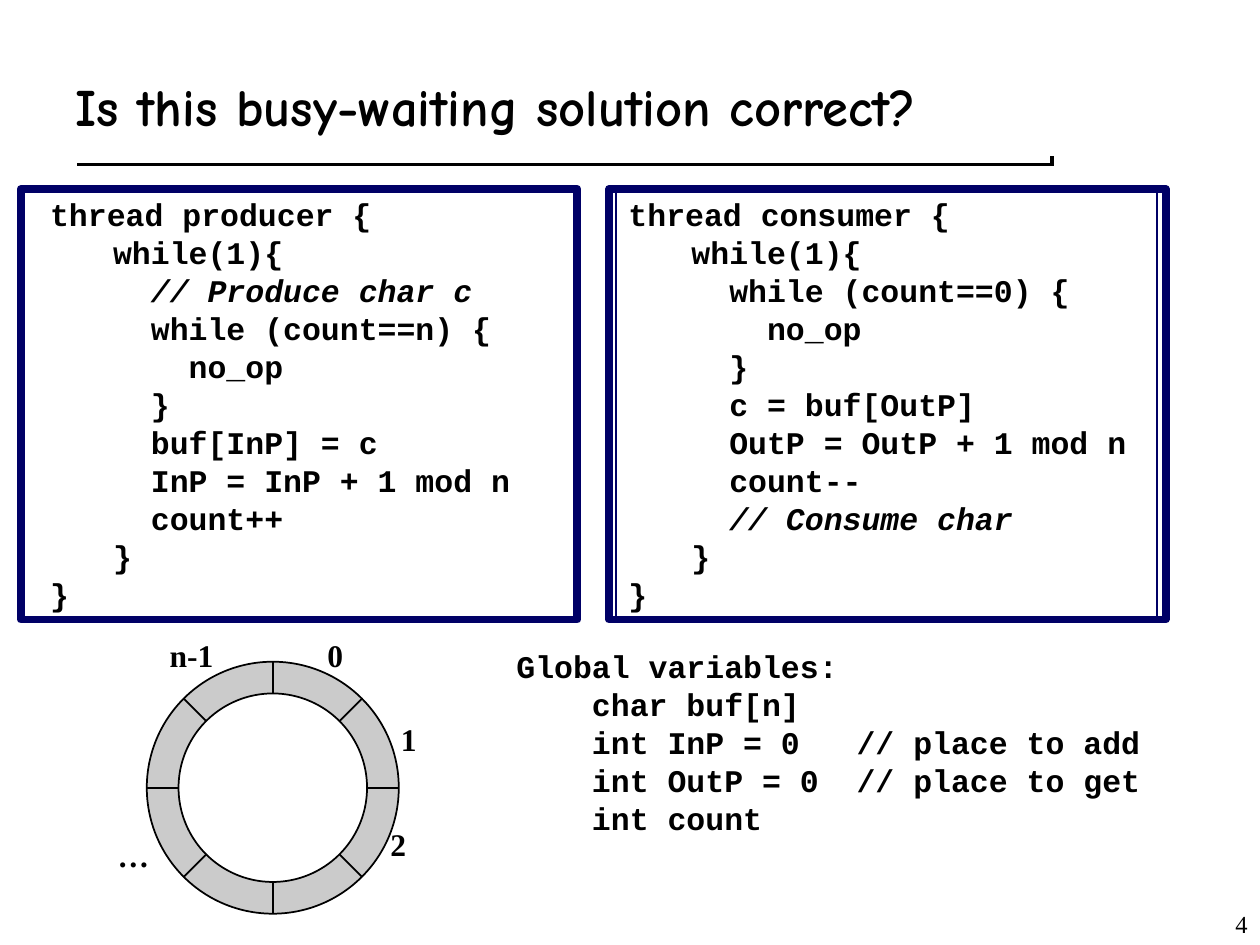
import math

from lxml import etree
from pptx import Presentation
from pptx import util as u
from pptx.dml.color import RGBColor
from pptx.enum import shapes, text
from pptx.oxml.ns import qn

COLORS = {"ink": "000000", "paper": "FFFFFF", "frame": "000066", "ring": "CBCBCB"}
CODE_FONT, LABEL_FONT, TITLE_FONT = "Courier New", "Times New Roman", "Comic Neue"

TITLE = "Is this busy-waiting solution correct?"
PAGE = "4"
PRODUCER = [
    "thread producer {",
    "while(1){",
    "  // Produce char c",
    "  while (count==n) {",
    "    no_op",
    "  }",
    "  buf[InP] = c",
    "  InP = InP + 1 mod n",
    "  count++",
    "}",
    "}",
]
CONSUMER = [
    "thread consumer {",
    "while(1){",
    "  while (count==0) {",
    "    no_op",
    "  }",
    "  c = buf[OutP]",
    "  OutP = OutP + 1 mod n",
    "  count--",
    "  // Consume char",
    "}",
    "}",
]
GLOBALS = [
    "Global variables:",
    "    char buf[n]",
    "    int InP = 0   // place to add",
    "    int OutP = 0  // place to get",
    "    int count",
]
# Slot label, left and top in cm
SLOT_LABELS = [
    ("0", 6.35, 12.7),
    ("1", 7.83, 14.39),
    ("2", 7.62, 16.51),
    ("n-1", 3.17, 12.7),
    ("…", 2.12, 16.72),
]
# Header rule, drawn as a black line partly covered by a white one: left, y, colour
HEADER_RULES = [(1.55, 3.25, "ink"), (1.47, 3.18, "paper")]
RULE_LENGTH = 19.69
FRAME_TOP, FRAME_WIDTH, FRAME_HEIGHT = 3.81, 11.22, 8.68
FRAME_LEFTS = [12.28, 0.42]
CODE_HEIGHT = 8.64
RING_CENTER = (5.5, 15.88)
RING_OUTER, RING_INNER, SLOTS = 2.54, 1.9, 8

presentation = Presentation()
presentation.slide_width, presentation.slide_height = u.Cm(25.4), u.Cm(19.05)
slide = presentation.slides.add_slide(presentation.slide_layouts[6])


def rgb(name):
    return RGBColor.from_string(COLORS[name])


def add_line(x1, y1, x2, y2, color="ink", width=1):
    line = slide.shapes.add_connector(
        shapes.MSO_CONNECTOR.STRAIGHT, u.Cm(x1), u.Cm(y1), u.Cm(x2), u.Cm(y2))
    line.line.color.rgb = rgb(color)
    line.line.width = u.Pt(width)
    etree.SubElement(line._element.spPr, qn("a:effectLst"))


def add_outlined(kind, left, top, width, height, fill, color, line_width):
    shape = slide.shapes.add_shape(
        kind, u.Cm(left), u.Cm(top), u.Cm(width), u.Cm(height))
    shape.shadow.inherit = False
    if fill:
        shape.fill.solid()
        shape.fill.fore_color.rgb = rgb(fill)
    else:
        shape.fill.background()
    shape.line.color.rgb = rgb(color)
    shape.line.width = u.Pt(line_width)
    return shape


def add_circle(radius, fill):
    x, y = RING_CENTER
    add_outlined(shapes.MSO_SHAPE.OVAL, x - radius, y - radius,
                 2 * radius, 2 * radius, fill, "ink", 1)


def add_box(left, top, width, height):
    return slide.shapes.add_textbox(u.Cm(left), u.Cm(top), u.Cm(width), u.Cm(height))


def prepare_frame(shape, anchor=text.MSO_ANCHOR.TOP):
    frame = shape.text_frame
    frame.word_wrap = True
    frame.vertical_anchor = anchor
    return frame


def add_run(paragraph, content, font, size, bold=True, italic=False):
    run = paragraph.add_run()
    run.text = content
    run.font.name, run.font.size = font, u.Pt(size)
    run.font.bold, run.font.italic = bold, italic
    run.font.color.rgb = rgb("ink")


def write_line(shape, content, font, size, bold=True,
               anchor=text.MSO_ANCHOR.TOP, align=text.PP_ALIGN.LEFT):
    paragraph = prepare_frame(shape, anchor).paragraphs[0]
    paragraph.alignment = align
    add_run(paragraph, content, font, size, bold)


def write_code(shape, lines, hanging):
    """Write code lines; with hanging, all but the first and last are one level in."""
    frame = prepare_frame(shape)
    for index, line in enumerate(lines):
        paragraph = frame.paragraphs[0] if index == 0 else frame.add_paragraph()
        paragraph.alignment = text.PP_ALIGN.LEFT
        paragraph.line_spacing = u.Pt(21.7)
        if hanging:
            paragraph.level = int(0 < index < len(lines) - 1)
            properties = paragraph._p.get_or_add_pPr()
            properties.set("marL", str(u.Cm(1.27 * (paragraph.level + 1))))
            properties.set("indent", str(-u.Cm(1.27)))
        comment = line.lstrip().startswith("//")
        add_run(paragraph, line, CODE_FONT, 18, italic=comment)


for left, y, color in HEADER_RULES:
    add_line(left, y, left + RULE_LENGTH, y, color, 6)
write_line(add_box(20.12, 17.78, 5.28, 1.27), PAGE, LABEL_FONT, 14, False,
           text.MSO_ANCHOR.BOTTOM, text.PP_ALIGN.RIGHT)
write_line(add_box(1.27, 0.85, 21.8, 2.54), TITLE, TITLE_FONT, 30,
           anchor=text.MSO_ANCHOR.MIDDLE)

for left in FRAME_LEFTS:
    add_outlined(shapes.MSO_SHAPE.RECTANGLE, left, FRAME_TOP, FRAME_WIDTH,
                 FRAME_HEIGHT, "paper", "frame", 4.5)
write_code(add_box(0.76, FRAME_TOP, 10.24, CODE_HEIGHT), PRODUCER, True)
consumer = add_outlined(shapes.MSO_SHAPE.RECTANGLE, 12.42, FRAME_TOP, 10.9,
                        CODE_HEIGHT, None, "frame", 1)
write_code(consumer, CONSUMER, True)

add_circle(RING_OUTER, "ring")
for slot in range(SLOTS // 2):
    angle = 2 * math.pi * slot / SLOTS
    dx, dy = RING_OUTER * math.cos(angle), RING_OUTER * math.sin(angle)
    x, y = RING_CENTER
    add_line(x - dx, y - dy, x + dx, y + dy)
add_circle(RING_INNER, "paper")
for label, left, top in SLOT_LABELS:
    write_line(add_box(left, top, 1.7, 1.02), label, LABEL_FONT, 18)

write_code(add_box(10.16, 12.91, 13.34, 4.06), GLOBALS, False)

presentation.save("out.pptx")
